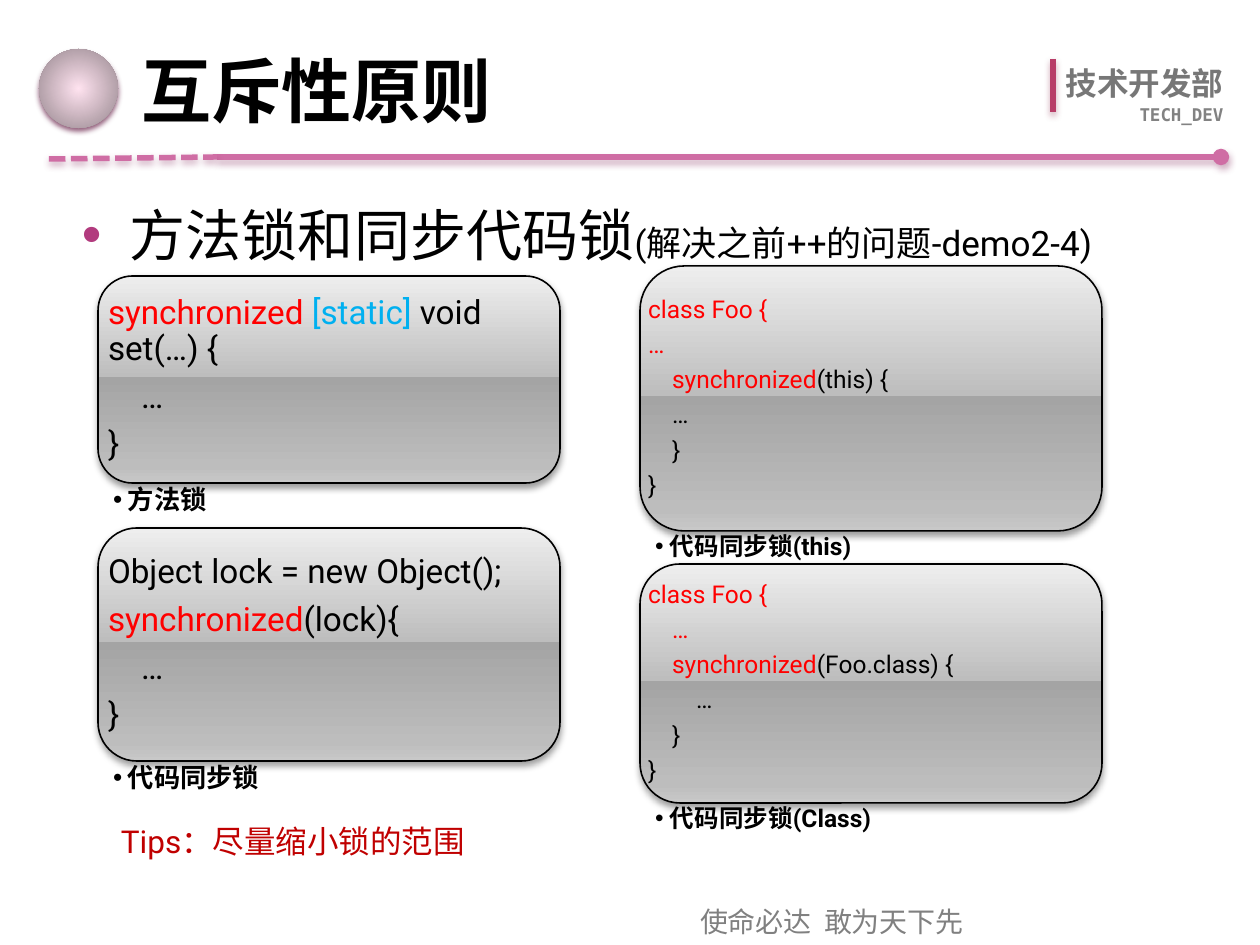
from lxml import etree
from pptx import Presentation
from pptx.dml.color import RGBColor
from pptx.enum.dml import MSO_LINE
from pptx.enum.shapes import MSO_CONNECTOR, MSO_SHAPE
from pptx.enum.text import MSO_ANCHOR, PP_ALIGN
from pptx.oxml.ns import qn
from pptx.util import Emu, Pt

STRAIGHT = MSO_CONNECTOR.STRAIGHT
DASHED = MSO_LINE.SQUARE_DOT
ELLIPSE, ROUNDED = MSO_SHAPE.OVAL, MSO_SHAPE.ROUNDED_RECTANGLE
TOP, MIDDLE = MSO_ANCHOR.TOP, MSO_ANCHOR.MIDDLE
LEFT, CENTER = PP_ALIGN.LEFT, PP_ALIGN.CENTER

PX_PER_INCH = 126
SANS, CJK, MONO = "Roboto", "Noto Sans CJK SC", "DejaVu Sans Mono"
BLACK, RED, CYAN, PINK = "000000", "FF0000", "00B0F0", "CF6DA4"
CARD_WIDTH = 462
CARD_STOPS = [(0, "EEEEEE"), (49, "BDBDBD"), (49, "A4A4A4"), (92, "BDBDBD"), (100, "C8C8C8")]
BALL_STOPS = [(0, "FFE3F0"), (100, "94858C")]


def px(length):
    return Emu(round(length * 914400 / PX_PER_INCH))


def rgb(value):
    return RGBColor.from_string(value)


def child(parent, tag, **attributes):
    element = etree.SubElement(parent, qn(tag))
    for name, value in attributes.items():
        element.set(name, str(value))
    return element


def add_shadow(shape, color, alpha=38, blur=4):
    """Cast a soft shadow straight down; call it after fill and line are set."""
    properties = shape._element.spPr
    effects = properties.find(qn("a:effectLst"))
    if effects is None:
        effects = child(properties, "a:effectLst")
    outer = child(effects, "a:outerShdw", blurRad=Pt(blur), dist=Pt(2),
                  dir=5400000, algn="ctr", rotWithShape=0)
    child(child(outer, "a:srgbClr", val=color), "a:alpha", val=alpha * 1000)


def fill_gradient(shape, stops, radial=False):
    properties = shape._element.spPr
    gradient = child(properties, "a:gradFill", rotWithShape=1)
    stop_list = child(gradient, "a:gsLst")
    for position, color in stops:
        stop = child(stop_list, "a:gs", pos=position * 1000)
        child(stop, "a:srgbClr", val=color)
    if radial:
        child(child(gradient, "a:path", path="circle"), "a:fillToRect",
              l=50000, t=50000, r=50000, b=50000)
    else:
        child(gradient, "a:lin", ang=5400000, scaled=0)
    properties.find(qn("a:prstGeom")).addnext(gradient)


def add_rule(slide, start, end, color, shadow, dash=None, dot_end=False):
    rule = slide.shapes.add_connector(STRAIGHT, *map(px, start + end))
    rule.line.color.rgb = rgb(color)
    rule.line.width = Pt(3.15)
    if dash:
        rule.line.dash_style = dash
    if dot_end:
        child(rule.line._get_or_add_ln(), "a:tailEnd", type="oval")
    add_shadow(rule, shadow)


def add_text_frame(slide, box, insets=(13, 6, 13, 6), anchor=TOP):
    frame = slide.shapes.add_textbox(*map(px, box)).text_frame
    frame.word_wrap = True
    frame.vertical_anchor = anchor
    (frame.margin_left, frame.margin_top,
     frame.margin_right, frame.margin_bottom) = map(px, insets)
    return frame


def add_run(paragraph, text, size, color, bold=False, font=SANS):
    run = paragraph.add_run()
    run.text = text
    run.font.size = Pt(size)
    run.font.bold = bold
    run.font.name = font
    run.font.color.rgb = rgb(color)
    child(run.font._element, "a:ea", typeface=CJK)


def format_paragraph(paragraph, spacing, before=0, after=0, margin=0, bullet_color=None):
    """Set proportional spacing, the left margin and, given its colour, a hanging bullet."""
    paragraph.line_spacing = spacing
    properties = paragraph._p.get_or_add_pPr()
    for tag, percent in (("a:spcBef", before), ("a:spcAft", after)):
        child(child(properties, tag), "a:spcPct", val=percent * 1000)
    properties.set("marL", str(px(margin)))
    properties.set("indent", str(px(-margin if bullet_color else 0)))
    if bullet_color:
        child(child(properties, "a:buClr"), "a:srgbClr", val=bullet_color)
        child(properties, "a:buFont", typeface="Arial")
        child(properties, "a:buChar", char="•")


def add_label(slide, box, text, size, color, bold=False, font=SANS, align=LEFT, anchor=TOP):
    paragraph = add_text_frame(slide, box, anchor=anchor).paragraphs[0]
    paragraph.alignment = align
    add_run(paragraph, text, size, color, bold, font)


def add_code_card(slide, left, top, height, lines, size, inset, indent):
    """Draw a card; each line is an indent level and its coloured pieces of code."""
    box = (left, top, CARD_WIDTH, height)
    card = slide.shapes.add_shape(ROUNDED, *map(px, box))
    card.shadow.inherit = False
    fill_gradient(card, CARD_STOPS)
    card.line.color.rgb = rgb(BLACK)
    card.line.width = Pt(0.9)
    add_shadow(card, BLACK)
    frame = add_text_frame(slide, box, (inset,) * 4, MIDDLE)
    for number, (level, pieces) in enumerate(lines):
        paragraph = frame.add_paragraph() if number else frame.paragraphs[0]
        format_paragraph(paragraph, 0.9, after=35, margin=level * indent)
        for text, color in pieces:
            add_run(paragraph, text, size, color)


def add_caption(slide, left, top, height, text, size, inset):
    frame = add_text_frame(slide, (left, top, CARD_WIDTH, height), (15, inset, 15, inset))
    paragraph = frame.paragraphs[0]
    paragraph.level = 1
    format_paragraph(paragraph, 0.9, after=20, margin=15, bullet_color=BLACK)
    add_run(paragraph, text, size, BLACK, bold=True)


def add_header(slide):
    add_rule(slide, (1053, 59), (1053, 112), "B83D68", "7F1238")
    add_label(slide, (1053, 58, 187, 50), "技术开发部", 18, "777777", True, CJK)
    add_label(slide, (1113, 98, 137, 34), "TECH_DEV", 10, "828282", True, MONO, CENTER)
    add_rule(slide, (217, 157), (1221, 157), PINK, "893263", dot_end=True)
    ball = slide.shapes.add_shape(ELLIPSE, *map(px, (39, 49, 79, 79)))
    ball.shadow.inherit = False
    fill_gradient(ball, BALL_STOPS, radial=True)
    ball.line.fill.background()
    add_shadow(ball, "804365", alpha=83, blur=3.1)
    add_rule(slide, (49, 159), (217, 157), PINK, "893263", dash=DASHED)
    add_label(slide, (129, 29, 777, 120), "互斥性原则", 40, BLACK, True, anchor=MIDDLE)


def add_topic(slide):
    topic = add_text_frame(slide, (69, 178, 1134, 624)).paragraphs[0]
    format_paragraph(topic, 1.25, before=20, margin=48, bullet_color="B23B7E")
    add_run(topic, "方法锁和同步代码锁", 32, BLACK)
    add_run(topic, "(解决之前++的问题-demo2-4)", 20, BLACK)


def main():
    presentation = Presentation()
    presentation.slide_width, presentation.slide_height = px(1260), px(945)
    slide = presentation.slides.add_slide(presentation.slide_layouts[6])
    add_header(slide)
    add_label(slide, (601, 898, 462, 47), "使命必达  敢为天下先", 16, "808080", align=CENTER)
    add_topic(slide)

    method_lock = [
        (0, [("synchronized ", RED), ("[static]", CYAN), (" void set(…) {", BLACK)]),
        (1, [("…", BLACK)]), (0, [("}", BLACK)])]
    object_lock = [
        (0, [("Object lock = new Object();", BLACK)]),
        (0, [("synchronized", RED), ("(lock){", BLACK)]),
        (1, [("…", BLACK)]), (0, [("}", BLACK)])]

    def class_lock(target, first_level, inner_level):
        return [(0, [("class Foo {", RED)]), (first_level, [("…", RED)]),
                (1, [("synchronized", RED), (f"({target}) {{", BLACK)]),
                (inner_level, [("…", BLACK)]), (1, [("}", BLACK)]), (0, [("}", BLACK)])]

    large = {"left": 98, "code": (19, 10, 33), "caption": (45, 15, 4)}
    small = {"left": 640, "code": (14, 8, 24), "caption": (34, 14, 3)}
    cards = [
        (large, 276, 207, method_lock, "方法锁"),
        (large, 528, 233, object_lock, "代码同步锁"),
        (small, 266, 265, class_lock("this", 0, 1), "代码同步锁(this)"),
        (small, 564, 239, class_lock("Foo.class", 1, 2), "代码同步锁(Class)")]
    for style, top, height, lines, caption in cards:
        add_code_card(slide, style["left"], top, height, lines, *style["code"])
        caption_height, size, inset = style["caption"]
        add_caption(slide, style["left"], top + height, caption_height, caption, size, inset)

    add_label(slide, (108, 816, 532, 50), "Tips：尽量缩小锁的范围", 18, "C00000")
    presentation.save("out.pptx")


if __name__ == "__main__":
    main()
